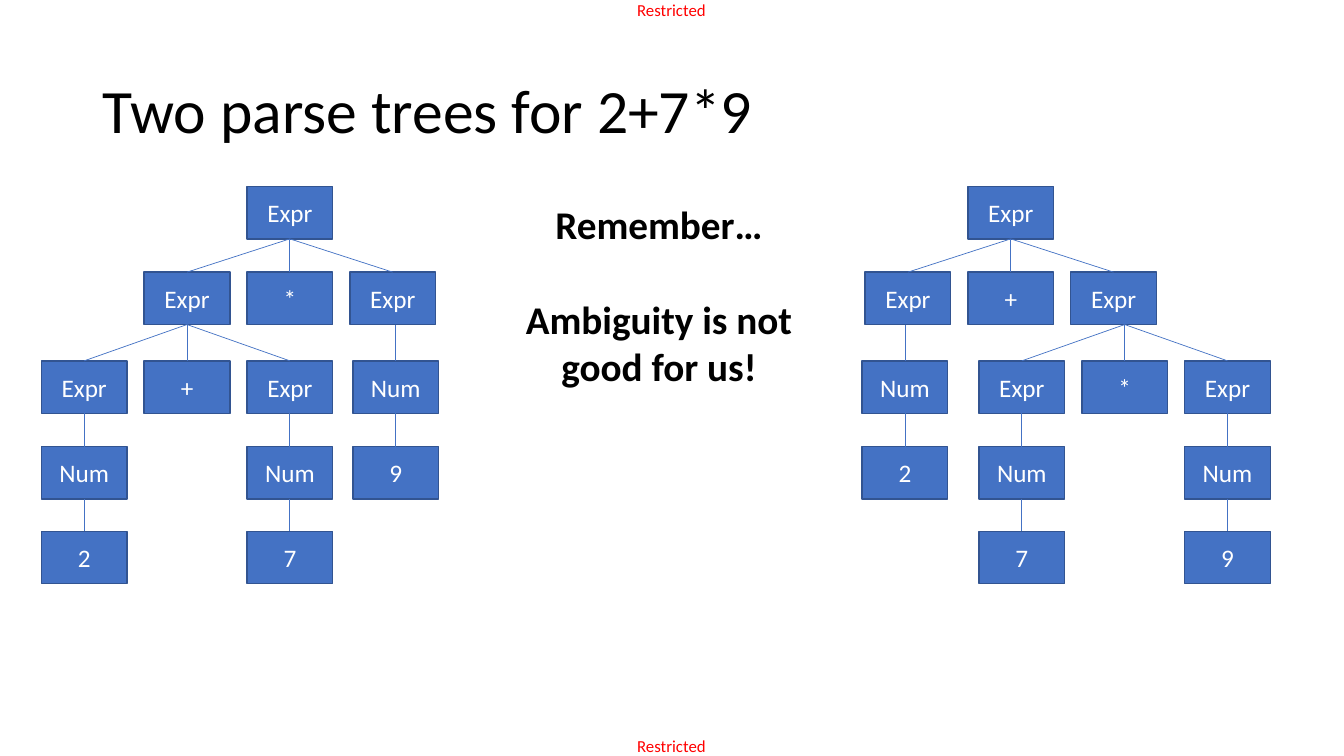
from dataclasses import dataclass

from lxml import etree
from pptx import Presentation
from pptx.dml.color import RGBColor
from pptx.enum.shapes import MSO_CONNECTOR, MSO_SHAPE
from pptx.enum.text import MSO_ANCHOR, MSO_AUTO_SIZE, PP_ALIGN
from pptx.oxml.ns import qn
from pptx.util import Pt

RECTANGLE = MSO_SHAPE.RECTANGLE
STRAIGHT = MSO_CONNECTOR.STRAIGHT
LEFT, CENTER = PP_ALIGN.LEFT, PP_ALIGN.CENTER
TOP, MIDDLE = MSO_ANCHOR.TOP, MSO_ANCHOR.MIDDLE
NO_AUTO_SIZE = MSO_AUTO_SIZE.NONE
TOP_SITE, BOTTOM_SITE = 0, 2

# Content: a node is (label, shift of its children in px, children)
TITLE = "Two parse trees for 2+7*9"
MARKING = "Restricted"
REMINDER = ["Remember…", "Ambiguity is not good for us!"]


def number(value, shift=0):
    return ("Expr", shift, [("Num", 0, [(value, 0, [])])])


PRODUCT_TREE = ("Expr", 0, [
    ("Expr", 0, [number("2"), ("+", 0, []), number("7")]),
    ("*", 0, []),
    number("9", 3),
])
SUM_TREE = ("Expr", 0, [
    number("2", -3),
    ("+", 0, []),
    ("Expr", 11, [number("7"), ("*", 0, []), number("9")]),
])

# Layout in px, 100 to the inch
PX = 9144
PAGE_SIZE = (1333, 750)
TITLE_AREA = (92, 40, 1150, 145)
REMINDER_AREA = (474, 194, 359, 199)
MARKING_LEFT, MARKING_WIDTH, MARKING_HEIGHT = 632, 73, 20
TREES = [(245, PRODUCT_TREE), (960, SUM_TREE)]
LEVEL_TOPS = [185, 270, 358, 443, 527]
NODE_WIDTH, NODE_HEIGHT = 85, 52
COLUMN_STEP = 102


@dataclass(frozen=True)
class Theme:
    font: str = "Calibri"
    ink: RGBColor = RGBColor(0, 0, 0)
    white: RGBColor = RGBColor(255, 255, 255)
    red: RGBColor = RGBColor(255, 0, 0)
    blue: RGBColor = RGBColor(0x44, 0x72, 0xC4)
    border: RGBColor = RGBColor(0x32, 0x54, 0x91)
    title_size: int = 44
    reminder_size: int = 28
    node_size: int = 18
    marking_size: int = 12


THEME = Theme()


def scaled(*lengths):
    return [int(length * PX) for length in lengths]


def write(shape, lines, size, color, align, anchor, bold=False):
    frame = shape.text_frame
    frame.text = "\n".join(lines)
    frame.word_wrap = True
    frame.auto_size = NO_AUTO_SIZE
    frame.vertical_anchor = anchor
    for para in frame.paragraphs:
        para.alignment = align
        for span in para.runs:
            span.font.name = THEME.font
            span.font.size = Pt(size)
            span.font.bold = bold
            span.font.color.rgb = color
    return frame


def add_node(page, label, left, level):
    box = page.shapes.add_shape(
        RECTANGLE, *scaled(left, LEVEL_TOPS[level], NODE_WIDTH, NODE_HEIGHT))
    box.shadow.inherit = False
    box.fill.solid()
    box.fill.fore_color.rgb = THEME.blue
    box.line.color.rgb = THEME.border
    box.line.width = Pt(1)
    write(box, [label], THEME.node_size, THEME.white, CENTER, MIDDLE)
    return box


def add_branch(page, parent, child, shift):
    start_x = parent.left + parent.width // 2 + shift * PX
    branch = page.shapes.add_connector(
        STRAIGHT, start_x, parent.top + parent.height,
        child.left + child.width // 2, child.top)
    if shift == 0:
        branch.begin_connect(parent, BOTTOM_SITE)
    branch.end_connect(child, TOP_SITE)
    branch.line.color.rgb = THEME.blue
    branch.line.width = Pt(0.5)
    etree.SubElement(branch._element.spPr, qn("a:effectLst"))


def add_tree(page, node, left, level=0):
    label, shift, children = node
    box = add_node(page, label, left, level)
    first = left + shift - COLUMN_STEP * (len(children) - 1) // 2
    for index, child in enumerate(children):
        child_box = add_tree(page, child, first + index * COLUMN_STEP, level + 1)
        add_branch(page, box, child_box, shift)
    return box


def main():
    deck = Presentation()
    deck.slide_width, deck.slide_height = scaled(*PAGE_SIZE)
    page = deck.slides.add_slide(deck.slide_layouts[5])

    # Markings at the top and bottom edges
    for top in (0, PAGE_SIZE[1] - MARKING_HEIGHT):
        box = page.shapes.add_textbox(
            *scaled(MARKING_LEFT, top, MARKING_WIDTH, MARKING_HEIGHT))
        frame = write(box, [MARKING], THEME.marking_size, THEME.red, LEFT, TOP)
        frame.margin_left = frame.margin_right = 0
        frame.margin_top = frame.margin_bottom = 0

    # Title
    title = page.shapes.title
    title.left, title.top, title.width, title.height = scaled(*TITLE_AREA)
    frame = write(title, [TITLE], THEME.title_size, THEME.ink, LEFT, MIDDLE)
    frame.paragraphs[0].line_spacing = 0.9

    # Parse trees
    for left, tree in TREES:
        add_tree(page, tree, left)

    # Reminder between the trees
    box = page.shapes.add_textbox(*scaled(*REMINDER_AREA))
    frame = write(box, REMINDER, THEME.reminder_size, THEME.ink, CENTER, TOP, True)
    frame.paragraphs[1].space_before = Pt(34)

    deck.save("out.pptx")


if __name__ == "__main__":
    main()
